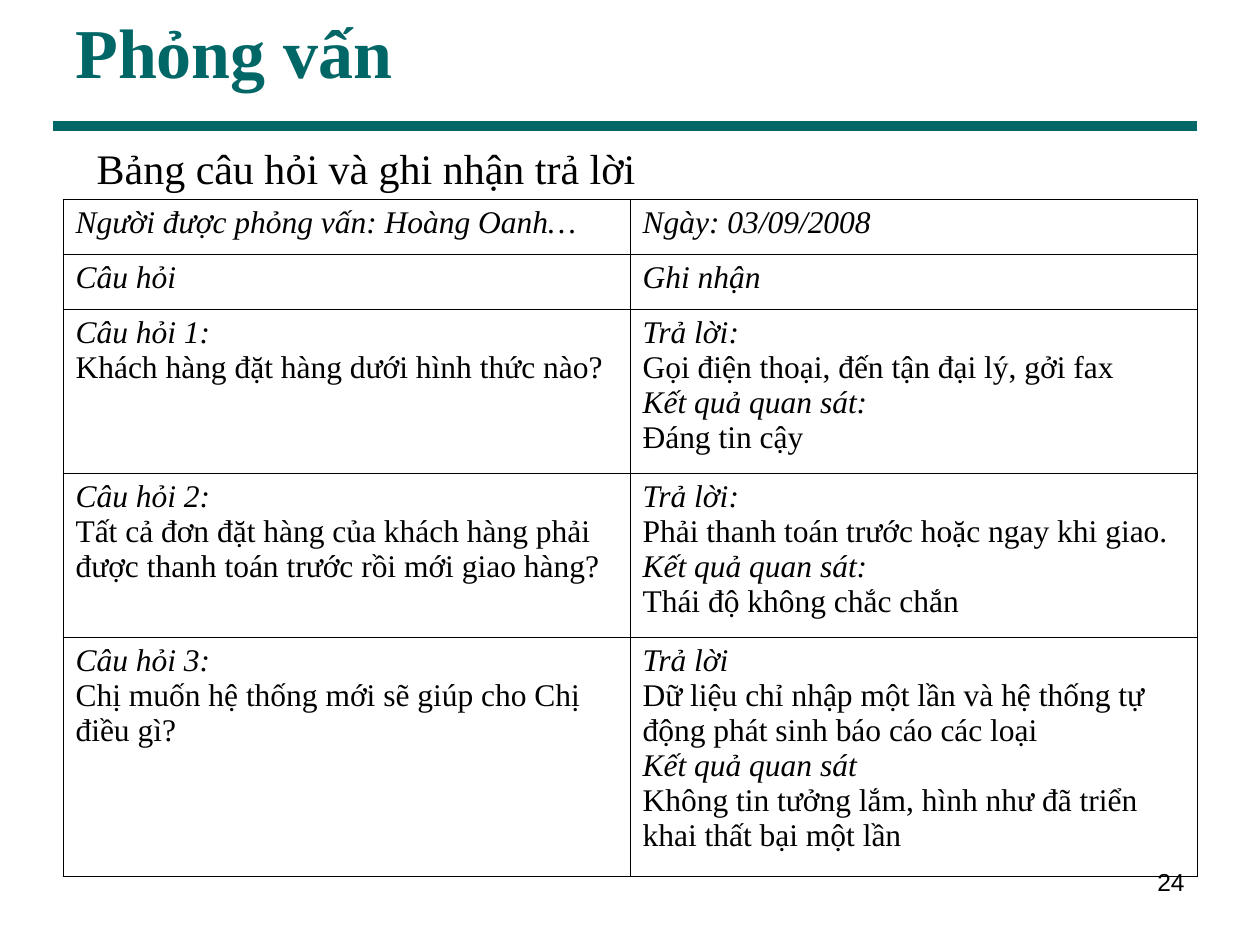
from dataclasses import dataclass

from lxml import etree
from pptx import Presentation
from pptx import util as u
from pptx.dml.color import RGBColor
from pptx.enum import shapes, text
from pptx.oxml import ns


@dataclass(frozen=True)
class Theme:
    """Colours, fonts and type sizes of the slide."""
    accent: str = "006666"
    ink: str = "000000"
    serif: str = "Times New Roman"
    sans: str = "Arial"
    title: int = 40
    subtitle: int = 24
    body: int = 18
    number: int = 14
    rule: float = 6
    border: float = 0.45


THEME = Theme()
HANGING = u.Cm(0.95)
ROW_HEIGHTS = (1.11, 1.11, 3.3, 3.3, 4.83)
HEADINGS = (
    ("Người được phỏng vấn: Hoàng Oanh…", "Ngày: 03/09/2008"),
    ("Câu hỏi", "Ghi nhận"),
)
INTERVIEW = (
    (("Câu hỏi 1:", "Khách hàng đặt hàng dưới hình thức nào?"),
     ("Trả lời:", "Gọi điện thoại, đến tận đại lý, gởi fax",
      "Kết quả quan sát:", "Đáng tin cậy")),
    (("Câu hỏi 2:", "Tất cả đơn đặt hàng của khách hàng phải được thanh toán "
      "trước rồi mới giao hàng?"),
     ("Trả lời:", "Phải thanh toán trước hoặc ngay khi giao.",
      "Kết quả quan sát:", "Thái độ không chắc chắn")),
    (("Câu hỏi 3:", "Chị muốn hệ thống mới sẽ giúp cho Chị điều gì?"),
     ("Trả lời", "Dữ liệu chỉ nhập một lần và hệ thống tự động phát sinh "
      "báo cáo các loại",
      "Kết quả quan sát", "Không tin tưởng lắm, hình như đã triển khai "
      "thất bại một lần")),
)


def write(paragraph, wording, *, size=THEME.body, font=THEME.serif,
          color=THEME.ink, bold=False, italic=False, align=None, hanging=False):
    """Put formatted wording into a paragraph."""
    if hanging:
        properties = paragraph._p.get_or_add_pPr()
        properties.set("marL", str(HANGING))
        properties.set("indent", str(-HANGING))
    paragraph.alignment = align
    run = paragraph.add_run()
    run.text = wording
    run.font.size = u.Pt(size)
    run.font.name = font
    run.font.color.rgb = RGBColor.from_string(color)
    run.font.bold = bold
    run.font.italic = italic


def add_label(slide, box, wording, anchor=text.MSO_ANCHOR.TOP, **style):
    """Add a wrapping text box with one line of wording."""
    frame = slide.shapes.add_textbox(*map(u.Cm, box)).text_frame
    frame.word_wrap = True
    frame.vertical_anchor = anchor
    write(frame.paragraphs[0], wording, **style)


def add_rule(slide, left, right, y):
    """Add the thick horizontal rule below the title."""
    rule = slide.shapes.add_connector(
        shapes.MSO_CONNECTOR.STRAIGHT, u.Cm(left), u.Cm(y), u.Cm(right), u.Cm(y))
    rule.line.color.rgb = RGBColor.from_string(THEME.accent)
    rule.line.width = u.Pt(THEME.rule)
    etree.SubElement(rule._element.spPr, ns.qn("a:effectLst"))


def outline_cell(cell):
    """Draw thin borders on all four sides and leave the cell unfilled."""
    properties = cell._tc.get_or_add_tcPr()
    for side in ("lnL", "lnR", "lnT", "lnB"):
        border = etree.SubElement(properties, ns.qn(f"a:{side}"),
                                  w=str(u.Pt(THEME.border)))
        fill = etree.SubElement(border, ns.qn("a:solidFill"))
        etree.SubElement(fill, ns.qn("a:srgbClr"), val=THEME.ink)
    cell.fill.background()


def fill_cell(cell, lines, hanging):
    """Write lines into a cell, with every other line, from the first, in italics."""
    outline_cell(cell)
    frame = cell.text_frame
    for index, line in enumerate(lines):
        paragraph = frame.add_paragraph() if index else frame.paragraphs[0]
        write(paragraph, line, italic=index % 2 == 0, hanging=hanging)


def add_interview_table(slide, left, top, width):
    """Add the table of questions and recorded answers."""
    rows = [[(heading,) for heading in row] for row in HEADINGS] + list(INTERVIEW)
    table = slide.shapes.add_table(
        len(rows), 2, u.Cm(left), u.Cm(top), u.Cm(width),
        u.Cm(sum(ROW_HEIGHTS))).table
    table.first_row = table.horz_banding = False
    for row, height, entries in zip(table.rows, ROW_HEIGHTS, rows):
        row.height = u.Cm(height)
        for column, (cell, lines) in enumerate(zip(row.cells, entries)):
            single_lines = len(lines) == 1 or (column == 1 and entries != rows[-1])
            fill_cell(cell, lines, hanging=single_lines)


def main():
    """Build the interview slide and save it."""
    deck = Presentation()
    deck.slide_width, deck.slide_height = u.Cm(25.4), u.Cm(19.05)
    slide = deck.slides.add_slide(deck.slide_layouts[6])
    add_rule(slide, 1.06, 24.13, 2.54)
    add_label(slide, (1.27, 0.76, 22.86, 0.53), "Phỏng vấn",
              anchor=text.MSO_ANCHOR.MIDDLE, size=THEME.title,
              color=THEME.accent, bold=True)
    add_interview_table(slide, 1.27, 4.02, 22.86)
    add_label(slide, (1.7, 2.75, 17.4, 1.27), "Bảng câu hỏi và ghi nhận trả lời",
              size=THEME.subtitle)
    add_label(slide, (18.2, 17.35, 5.93, 1.32), "24", size=THEME.number,
              font=THEME.sans, align=text.PP_ALIGN.RIGHT)
    deck.save("out.pptx")


if __name__ == "__main__":
    main()
